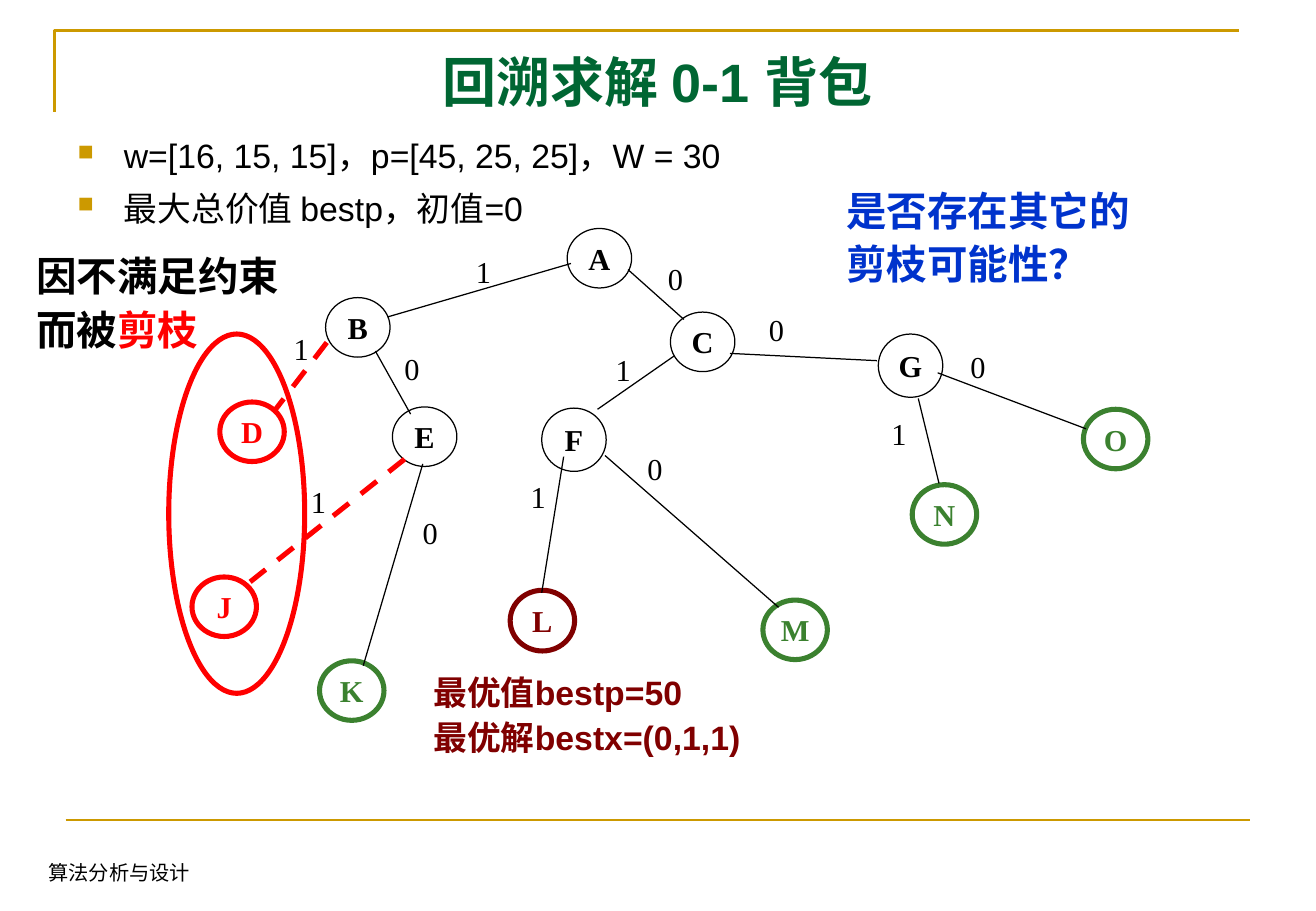
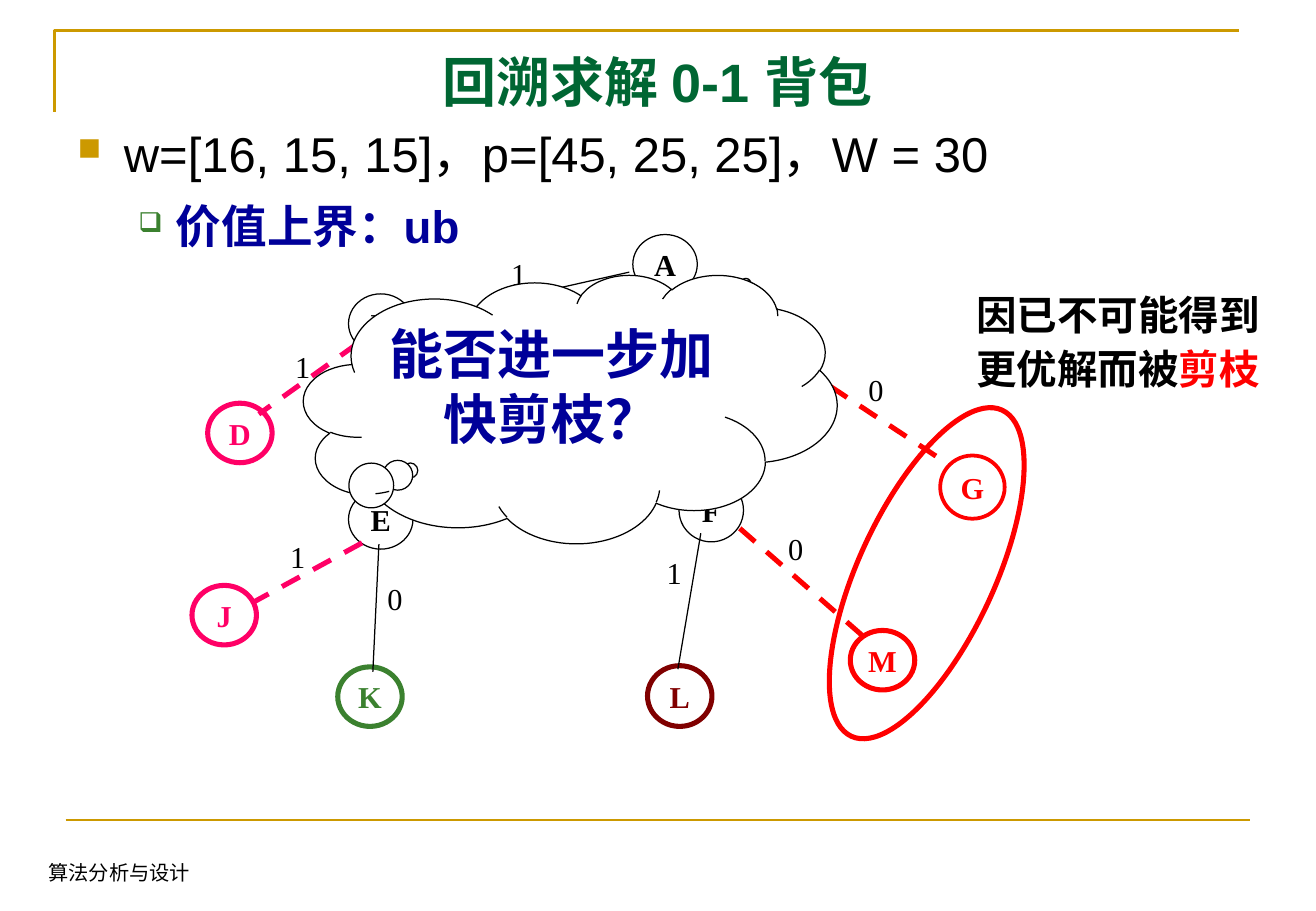
from lxml import etree
from pptx import Presentation
from pptx import util as u
from pptx.dml import color
from pptx.enum import dml, lang, shapes, text
from pptx.oxml import ns

# Shared colours and fonts
BLACK, WHITE, GOLD = "000000", "FFFFFF", "CC9900"
RED, GREEN, MAROON = "FF0000", "3B812F", "800000"
BLUE, NAVY, PINE = "0033CC", "000099", "006633"
SERIF, SANS = "Times New Roman", "Arial"

# Node styles: colour, outline width, pruned branch
PLAIN = (BLACK, 0.75, False)
LEAF = (GREEN, 3, False)
BEST = (MAROON, 3, False)
CUT = (RED, 3, True)
THIN = (RED, 2.25, True)
PINK = ("FF0066", 3, True)
TALL = {"F": 37.5, "G": 37.5, "L": 36}

# Tree rows: name, style, corner, edge (x1, y1, x2, y2), bit, bit corner
TREE_ONE = [
    ("A", PLAIN, (336.2, 135.4), None, "", None),
    ("B", PLAIN, (193, 176.4), (338.4, 156.2, 229.7, 187.9), "1", (275, 146.2)),
    ("D", CUT, (130.3, 238.3), (193.7, 203, 163.4, 242.6), "1", (167, 192.2)),
    ("E", PLAIN, (232.6, 241.2), (222.5, 208.1, 243.4, 245.5), "0", (232.6, 203.8)),
    ("J", CUT, (113.8, 342), (239.8, 272.2, 148.3, 344.9), "1", (177.1, 283)),
    ("K", LEAF, (189.4, 391.7), (250.6, 275, 215.3, 394.6), "0", (243.4, 301)),
    ("C", PLAIN, (397.4, 185), (372.2, 159.8, 405.4, 189.4), "0", (388.8, 150.5)),
    ("F", PLAIN, (321.1, 241.9), (399.6, 211, 354.2, 242.6), "1", (357.8, 204.5)),
    ("L", BEST, (302.4, 349.9), (334.1, 270.7, 321.1, 351.4), "1", (307.4, 280.1)),
    ("M", LEAF, (452.2, 355.7), (358.6, 270, 461.5, 360), "0", (376.6, 263.5)),
    ("G", PLAIN, (520.6, 198), (432.7, 209.5, 519.8, 213.8), "0", (448.6, 180.7)),
    ("N", LEAF, (540.7, 287.3), (544.3, 236.2, 556.6, 286.6), "1", (521.3, 242.6)),
    ("O", LEAF, (642.2, 242.6), (555.8, 221, 643.7, 254.2), "0", (568.1, 203)),
]
TREE_TWO = [
    ("A", PLAIN, (375.1, 139), None, "", None),
    ("B", PLAIN, (206.6, 174.2), (373, 161.3, 248.4, 189.4), "1", (295.9, 147.6)),
    ("D", PINK, (123.1, 239), (211.7, 203.8, 153.4, 245.5), "1", (167.8, 203)),
    ("E", PLAIN, (206.6, 290.2), (225.4, 207.4, 224.6, 290.2), "", None),
    ("J", PINK, (113.8, 347), (214.6, 321.8, 151.2, 356.4), "1", (164.9, 315.4)),
    ("K", LEAF, (200.2, 395.3), (224.6, 322.6, 221, 398.2), "0", (222.5, 340.6)),
    ("", PLAIN, (439.2, 190.1), (414.7, 164.9, 447.1, 193.7), "0", (430.6, 155.5)),
    ("F", PLAIN, (402.5, 283.7), (450.7, 222.5, 424.1, 281.5), "1", (419, 225.4)),
    ("L", BEST, (383.8, 394.6), (415.4, 316.1, 401.8, 396.7), "1", (388.1, 324.7)),
    ("M", CUT, (504, 373.7), (438.5, 313.2, 512.6, 378), "0", (460.1, 311)),
    ("G", THIN, (557.3, 270), (474.5, 217.4, 563, 275.8), "0", (507.6, 216.7)),
]


def rgb(code):
    return color.RGBColor.from_string(code)


def pts(*nums):
    return [u.Pt(n) for n in nums]


def ink(line, code, width):
    line.color.rgb = rgb(code)
    line.width = u.Pt(width)


def add_run(para, words, size, code, face=SERIF, bold=False):
    run = para.add_run()
    run.text = words
    font = run.font
    font.size, font.name, font.bold = u.Pt(size), face, bold
    font.color.rgb = rgb(code)
    font.language_id = lang.MSO_LANGUAGE_ID.SIMPLIFIED_CHINESE


def fill_text(frame, paras, space=None, align=None):
    """Each paragraph is a list of run settings."""
    for i, runs in enumerate(paras):
        para = frame.add_paragraph() if i else frame.paragraphs[0]
        para.alignment, para.line_spacing = align, space
        for run in runs:
            add_run(para, *run)


def add_text(slide, box, paras, space=None, align=None, wrap=True):
    shape = slide.shapes.add_textbox(*pts(*box))
    shape.text_frame.word_wrap = wrap
    fill_text(shape.text_frame, paras, space, align)
    return shape


def add_form(slide, kind, box, code, width, back=None):
    shape = slide.shapes.add_shape(kind, *pts(*box))
    shape.shadow.inherit = False
    if back:
        shape.fill.solid()
        shape.fill.fore_color.rgb = rgb(back)
    else:
        shape.fill.background()
    ink(shape.line, code, width)
    return shape


def add_line(slide, ends, code, width, dash=False):
    line = slide.shapes.add_connector(shapes.MSO_CONNECTOR.STRAIGHT, *pts(*ends))
    ink(line.line, code, width)
    if dash:
        line.line.dash_style = dml.MSO_LINE.DASH
    etree.SubElement(line._element.spPr, ns.qn("a:effectLst"))


def add_ring(slide, left, top, turn=0):
    ring = add_form(slide, shapes.MSO_SHAPE.OVAL, (left, top, 80.6, 213), RED, 3)
    ring.rotation = turn


def add_tree(slide, rows):
    for name, (code, width, cut), spot, edge, bit, place in rows:
        box = (*spot, 38.2, TALL.get(name, 35.3))
        node = add_form(slide, shapes.MSO_SHAPE.OVAL, box, code, width, WHITE)
        frame = node.text_frame
        frame.word_wrap = False
        frame.vertical_anchor = text.MSO_ANCHOR.MIDDLE
        if name:
            fill_text(frame, [[(name, 18, code, SERIF, True)]],
                      align=text.PP_ALIGN.CENTER)
        if edge:
            add_line(slide, edge, code if cut else BLACK, 3 if cut else 0.75, cut)
        if bit:
            add_text(slide, (*place, 24, 29), [[(bit, 18, BLACK)]], wrap=False)


def add_mark(para, left, hang, sign, code, size):
    props = para._p.get_or_add_pPr()
    props.set("marL", str(u.Pt(left)))
    props.set("indent", str(u.Pt(-hang)))
    tint = etree.SubElement(props, ns.qn("a:buClr"))
    etree.SubElement(tint, ns.qn("a:srgbClr")).set("val", code)
    etree.SubElement(props, ns.qn("a:buSzPct")).set("val", str(size * 1000))
    etree.SubElement(props, ns.qn("a:buChar")).set("char", sign)


def add_list(slide, top, items):
    """Each item is a run and a bullet."""
    frame = add_text(slide, (38.9, top, 702, 400), []).text_frame
    for i, (run, mark) in enumerate(items):
        para = frame.add_paragraph() if i else frame.paragraphs[0]
        add_mark(para, *mark)
        para.line_spacing = 1.1
        para.space_before = u.Pt(0.23 * run[1] if i else 0)
        add_run(para, *run)


def add_base(deck):
    """Blank slide with the common rules, footer and title."""
    slide = deck.slides.add_slide(deck.slide_layouts[6])
    path = slide.shapes.build_freeform(*pts(32.4, 66.2))
    path.add_line_segments([pts(32.4, 18), pts(734.4, 18)], close=False)
    rule = path.convert_to_shape()
    rule.shadow.inherit = False
    rule.fill.background()
    ink(rule.line, GOLD, 1.5)
    add_line(slide, (38.9, 486, 740.9, 486), GOLD, 1.5)
    foot = add_text(slide, (21.6, 502.6, 247, 25.2), [[("算法分析与设计", 12, BLACK)]])
    foot.text_frame.vertical_anchor = text.MSO_ANCHOR.BOTTOM
    add_text(slide, (38.9, 21.6, 702, 55.4),
             [[("回溯求解 0-1 背包", 32, PINE, SANS, True)]],
             1.1, text.PP_ALIGN.CENTER)
    return slide


def add_note(slide, box, *runs):
    add_text(slide, box, [[(words, 24, code, SERIF, True) for words, code in runs]], 1.1)


def main():
    deck = Presentation()
    deck.slide_width, deck.slide_height = pts(780, 540)
    data = "w=[16, 15, 15]，p=[45, 25, 25]，W = 30"
    square = (27.4, 27.4, "■", GOLD, 65)
    hollow = (58.3, 22.3, "❑", GREEN, 60)

    # Slide 1: pruning by the constraint
    slide = add_base(deck)
    add_list(slide, 74.2, [
        ((data, 20, BLACK, SANS), square),
        (("最大总价值 bestp，初值=0", 20, BLACK, SANS), square),
    ])
    add_tree(slide, TREE_ONE)
    best = add_text(slide, (249.8, 392.4, 203, 59.8), [
        [(head, 20, MAROON, SERIF, True), (value, 20, MAROON, SANS, True)]
        for head, value in (("最优值", "bestp=50"), ("最优解", "bestx=(0,1,1)"))
    ], 1.1)
    best.fill.solid()
    best.fill.fore_color.rgb = rgb(WHITE)
    add_ring(slide, 100, 198)
    add_note(slide, (14.4, 142.6, 160, 70.6), ("因不满足约束而被", BLACK), ("剪枝", RED))
    add_note(slide, (494.6, 103.7, 197.3, 70.6), ("是否存在其它的剪枝可能性？", BLUE))

    # Slide 2: pruning by the bound
    slide = add_base(deck)
    add_list(slide, 66.2, [
        ((data, 29, BLACK, SANS), square),
        (("价值上界：ub", 27, NAVY, SANS, True), hollow),
    ])
    add_tree(slide, TREE_TWO)
    add_ring(slide, 509, 233.3, 24.8)
    add_note(slide, (571.7, 165.6, 184.3, 70.6),
             ("因已不可能得到更优解而被", BLACK), ("剪枝", RED))
    cloud = add_form(slide, shapes.MSO_SHAPE.CLOUD_CALLOUT,
                     (180, 162.7, 316.1, 159.1), BLACK, 0.75, WHITE)
    cloud.adjustments[0], cloud.adjustments[1] = -0.3, 0.23
    cloud.text_frame.word_wrap = True
    cloud.text_frame.vertical_anchor = text.MSO_ANCHOR.TOP
    fill_text(cloud.text_frame, [[("能否进一步加快剪枝？", 32, NAVY, SANS, True)]],
              align=text.PP_ALIGN.CENTER)

    deck.save("out.pptx")


if __name__ == "__main__":
    main()
